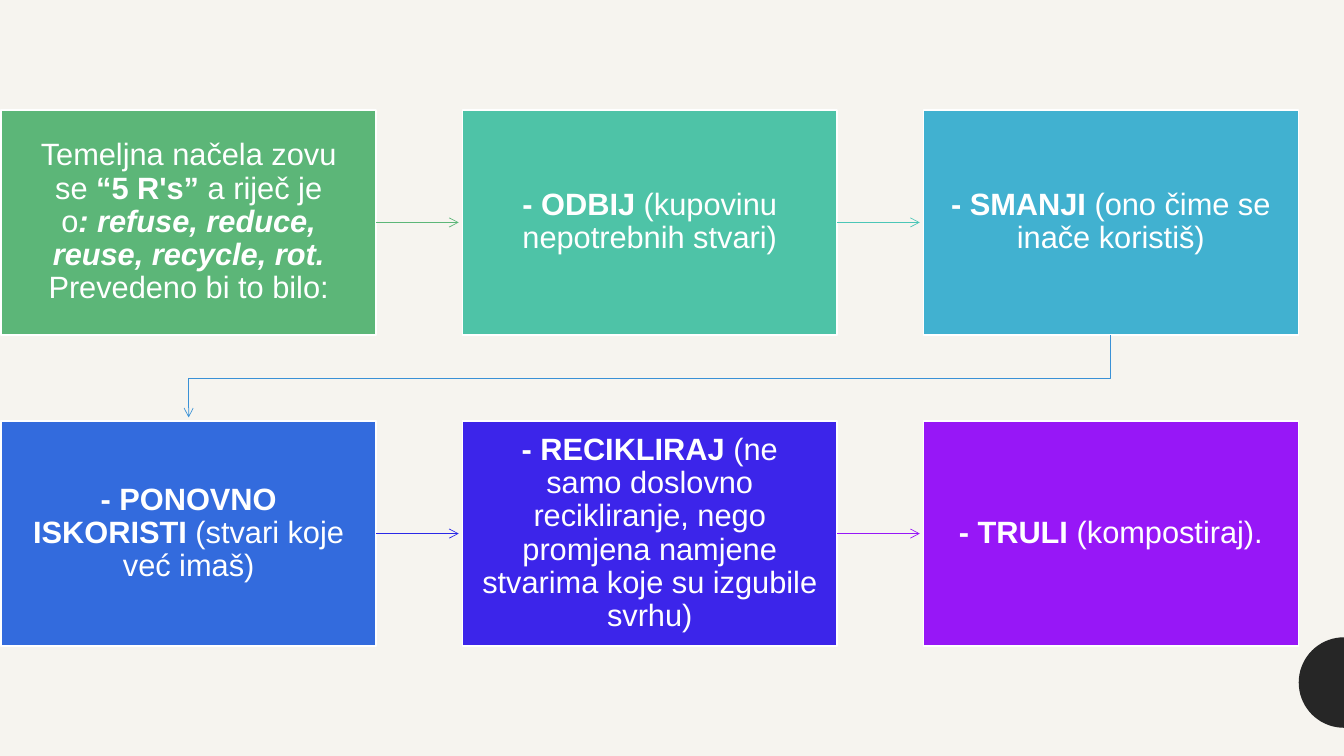
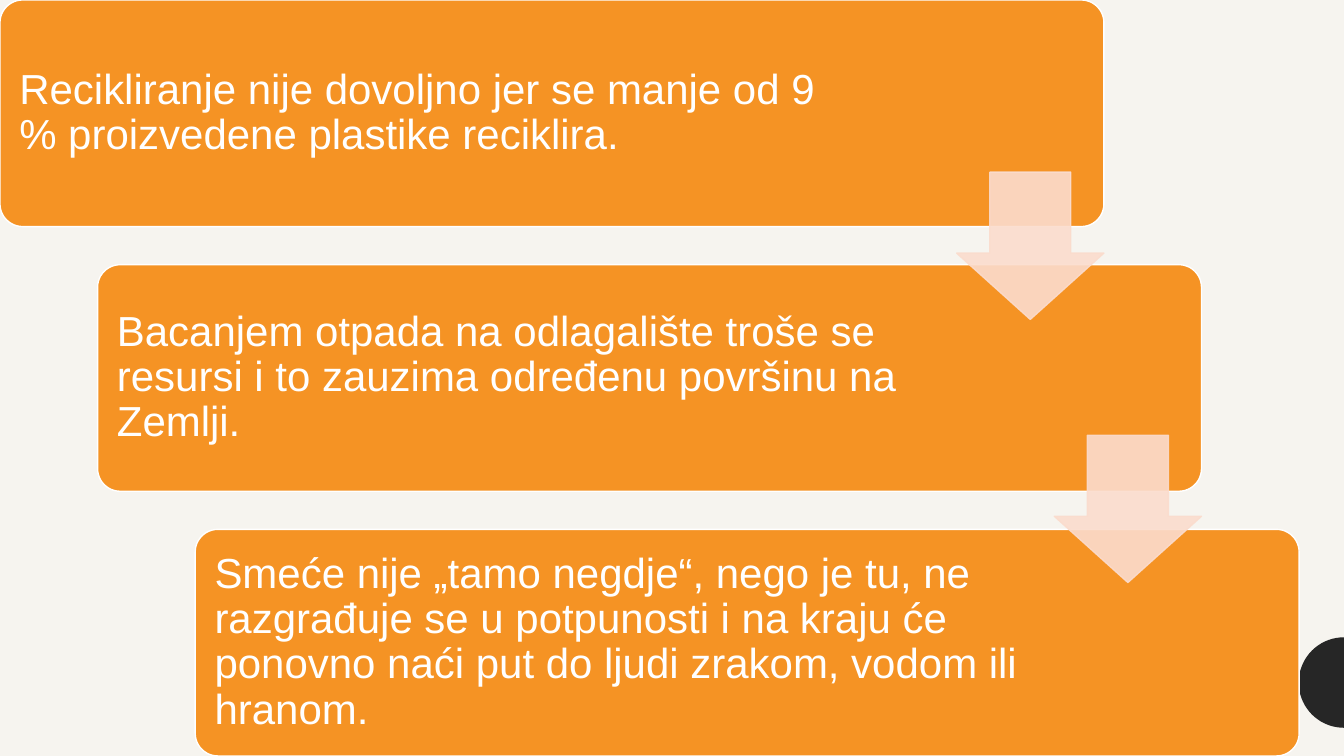
import math
from dataclasses import dataclass

import pptx
import pptx.dml.color
import pptx.enum.shapes
import pptx.enum.text
import pptx.oxml
import pptx.oxml.ns
import pptx.util
from pptx.util import Cm

COLORS = {
    "paper": "F6F4EF", "disc": "262626", "white": "FFFFFF",
    "green": "5CB678", "mint": "4EC3A7", "cyan": "41B1D0",
    "blue": "336BDD", "indigo": "3C25EA", "violet": "9717F7",
    "turquoise": "4BC6B7", "sky": "3A91D6", "deep blue": "2A28E7",
    "orange": "F59324", "peach": "FBDCCD",
}
FONT = "Arial"
SLIDE_W, SLIDE_H = Cm(33.87), Cm(19.05)
SHAPE = pptx.enum.shapes.MSO_SHAPE
ALIGN = pptx.enum.text.PP_ALIGN

DISC_RADIUS, DISC_Y = Cm(1.14), Cm(17.2)

TILE_LEFT, TILE_TOP = Cm(0.03), Cm(2.77)
TILE_W, TILE_H = Cm(9.45), Cm(5.67)
TILE_STEP_X, TILE_STEP_Y = Cm(11.62), Cm(7.84)
TILE_COLUMNS = 3
ARROW_REACH, ELBOW_DROP = Cm(2.08), Cm(1.09)

PANEL_W, PANEL_H = Cm(27.82), Cm(5.71)
PANEL_STEP_X, PANEL_STEP_Y = Cm(2.46), Cm(6.67)
STEP_ARROW_SIZE, STEP_ARROW_TOP, STEP_ARROW_STEP_Y = Cm(3.71), Cm(4.34), Cm(6.63)


@dataclass(frozen=True)
class Run:
    text: str
    bold: bool = False
    italic: bool = False


@dataclass(frozen=True)
class Tile:
    color: str
    runs: tuple[Run, ...]
    arrow_color: str = ""
    side_margin: float = 0.46  # cm


@dataclass(frozen=True)
class TextStyle:
    size: int
    align: ALIGN
    margins: tuple[float, float, float, float]  # left, top, right, bottom in cm


PANEL_TEXT = TextStyle(30, ALIGN.LEFT, (0.32, 0.3, 6.46, 0.3))

TILES = (
    Tile("green", (
        Run("Temeljna načela zovu se "), Run("“5 R's”", True),
        Run(" a riječ je o"),
        Run(": refuse, reduce, reuse, recycle, rot. ", True, True),
        Run("Prevedeno bi to bilo:")), "green", 0.96),
    Tile("mint", (
        Run("- ODBIJ ", True), Run("(kupovinu nepotrebnih stvari)")), "turquoise"),
    Tile("cyan", (
        Run("- SMANJI", True), Run(" (ono čime se inače koristiš)")), "sky"),
    Tile("blue", (
        Run("- PONOVNO ISKORISTI", True), Run(" (stvari koje već imaš)")),
        "deep blue", 0.67),
    Tile("indigo", (
        Run("- RECIKLIRAJ", True),
        Run(" (ne samo doslovno recikliranje, nego promjena namjene "
            "stvarima koje su izgubile svrhu)")), "violet"),
    Tile("violet", (Run("- TRULI ", True), Run("(kompostiraj)."))),
)

PANELS = (
    "Recikliranje nije dovoljno jer se manje od 9 % proizvedene plastike reciklira.",
    "Bacanjem otpada na odlagalište troše se resursi i to zauzima određenu "
    "površinu na Zemlji.",
    "Smeće nije „tamo negdje“, nego je tu, ne razgrađuje se u potpunosti i na "
    "kraju će ponovno naći put do ljudi zrakom, vodom ili hranom.",
)


def rgb(name: str) -> pptx.dml.color.RGBColor:
    return pptx.dml.color.RGBColor.from_string(COLORS[name])


def fill_shape(sp, color: str, line_color: str = "") -> None:
    sp.shadow.inherit = False
    sp.fill.solid()
    sp.fill.fore_color.rgb = rgb(color)
    if line_color:
        sp.line.color.rgb = rgb(line_color)
        sp.line.width = pptx.util.Pt(1)
    else:
        sp.line.fill.background()


def add_box(s, kind: SHAPE, x: int, y: int, w: int, h: int, color: str,
            runs: tuple[Run, ...], style: TextStyle):
    sp = s.shapes.add_shape(kind, x, y, w, h)
    fill_shape(sp, color, "white")
    tf = sp.text_frame
    tf.word_wrap = True
    tf.vertical_anchor = pptx.enum.text.MSO_ANCHOR.MIDDLE
    tf.margin_left, tf.margin_top, tf.margin_right, tf.margin_bottom = map(
        Cm, style.margins)
    p = tf.paragraphs[0]
    p.alignment = style.align
    p.line_spacing = 0.9
    for run in runs:
        r = p.add_run()
        r.text = run.text
        r.font.name = FONT
        r.font.size = pptx.util.Pt(style.size)
        r.font.bold, r.font.italic = run.bold, run.italic
        r.font.color.rgb = rgb("white")
    return sp


def style_arrow(sp, color: str) -> None:
    """Give a connector or open outline a thin line with an open arrowhead."""
    sp.line.color.rgb = rgb(color)
    sp.line.width = pptx.util.Pt(0.5)
    ns = pptx.oxml.ns.nsdecls("a")
    sp.line._get_or_add_ln().append(
        pptx.oxml.parse_xml(f'<a:tailEnd {ns} type="arrow"/>'))


def add_straight_arrow(s, tile, color: str) -> None:
    x, y = tile.left + tile.width, tile.top + tile.height // 2
    cx = s.shapes.add_connector(
        pptx.enum.shapes.MSO_CONNECTOR.STRAIGHT, x, y, x + ARROW_REACH, y)
    cx.begin_connect(tile, 3)
    style_arrow(cx, color)
    ns = pptx.oxml.ns.nsdecls("a")
    cx._element.spPr.append(pptx.oxml.parse_xml(f"<a:effectLst {ns}/>"))


def add_row_arrow(s, tile, color: str) -> None:
    """Lead from the last tile of a row to the first tile of the next."""
    start_x, y = tile.left + tile.width // 2, tile.top + tile.height
    end_x = TILE_LEFT + TILE_W // 2
    outline = s.shapes.build_freeform(start_x, y)
    outline.add_line_segments(
        [(start_x, y + ELBOW_DROP), (end_x, y + ELBOW_DROP),
         (end_x, y + ARROW_REACH)], close=False)
    sp = outline.convert_to_shape()
    sp.shadow.inherit = False
    sp.fill.background()
    style_arrow(sp, color)


def add_step_arrow(s, x: int, y: int) -> None:
    sp = s.shapes.add_shape(SHAPE.DOWN_ARROW, x, y, STEP_ARROW_SIZE, STEP_ARROW_SIZE)
    sp.adjustments[0], sp.adjustments[1] = 0.55, 0.45
    fill_shape(sp, "peach", "peach")
    ns = pptx.oxml.ns.nsdecls("a")
    for color in sp._element.spPr.iter(pptx.oxml.ns.qn("a:srgbClr")):
        color.append(pptx.oxml.parse_xml(f'<a:alpha {ns} val="90000"/>'))


def add_slide(prs):
    """Add a blank slide with the half disc on its right edge."""
    s = prs.slides.add_slide(prs.slide_layouts[6])
    angles = [math.pi * (0.5 + i / 36) for i in range(37)]
    points = [(round(SLIDE_W + DISC_RADIUS * math.cos(a)),
               round(DISC_Y - DISC_RADIUS * math.sin(a))) for a in angles]
    outline = s.shapes.build_freeform(*points[0])
    outline.add_line_segments(points[1:], close=True)
    fill_shape(outline.convert_to_shape(), "disc")
    return s


def add_principles_slide(prs) -> None:
    s = add_slide(prs)
    for i, tile in enumerate(TILES):
        row, column = divmod(i, TILE_COLUMNS)
        style = TextStyle(22, ALIGN.CENTER, (tile.side_margin, 0.48) * 2)
        sp = add_box(s, SHAPE.RECTANGLE, TILE_LEFT + column * TILE_STEP_X,
                     TILE_TOP + row * TILE_STEP_Y, TILE_W, TILE_H,
                     tile.color, tile.runs, style)
        if tile.arrow_color:
            add_arrow = add_row_arrow if column == TILE_COLUMNS - 1 else add_straight_arrow
            add_arrow(s, sp, tile.arrow_color)


def add_reasons_slide(prs) -> None:
    s = add_slide(prs)
    for i, text in enumerate(PANELS):
        sp = add_box(s, SHAPE.ROUNDED_RECTANGLE, i * PANEL_STEP_X, i * PANEL_STEP_Y,
                     PANEL_W, PANEL_H, "orange", (Run(text),), PANEL_TEXT)
        sp.adjustments[0] = 0.1
    for i in range(len(PANELS) - 1):
        add_step_arrow(s, PANEL_W - STEP_ARROW_SIZE + i * PANEL_STEP_X,
                       STEP_ARROW_TOP + i * STEP_ARROW_STEP_Y)


def main() -> None:
    prs = pptx.Presentation()
    prs.slide_width, prs.slide_height = SLIDE_W, SLIDE_H
    background = prs.slide_master.background.fill
    background.solid()
    background.fore_color.rgb = rgb("paper")
    add_principles_slide(prs)
    add_reasons_slide(prs)
    prs.save("out.pptx")


if __name__ == "__main__":
    main()
